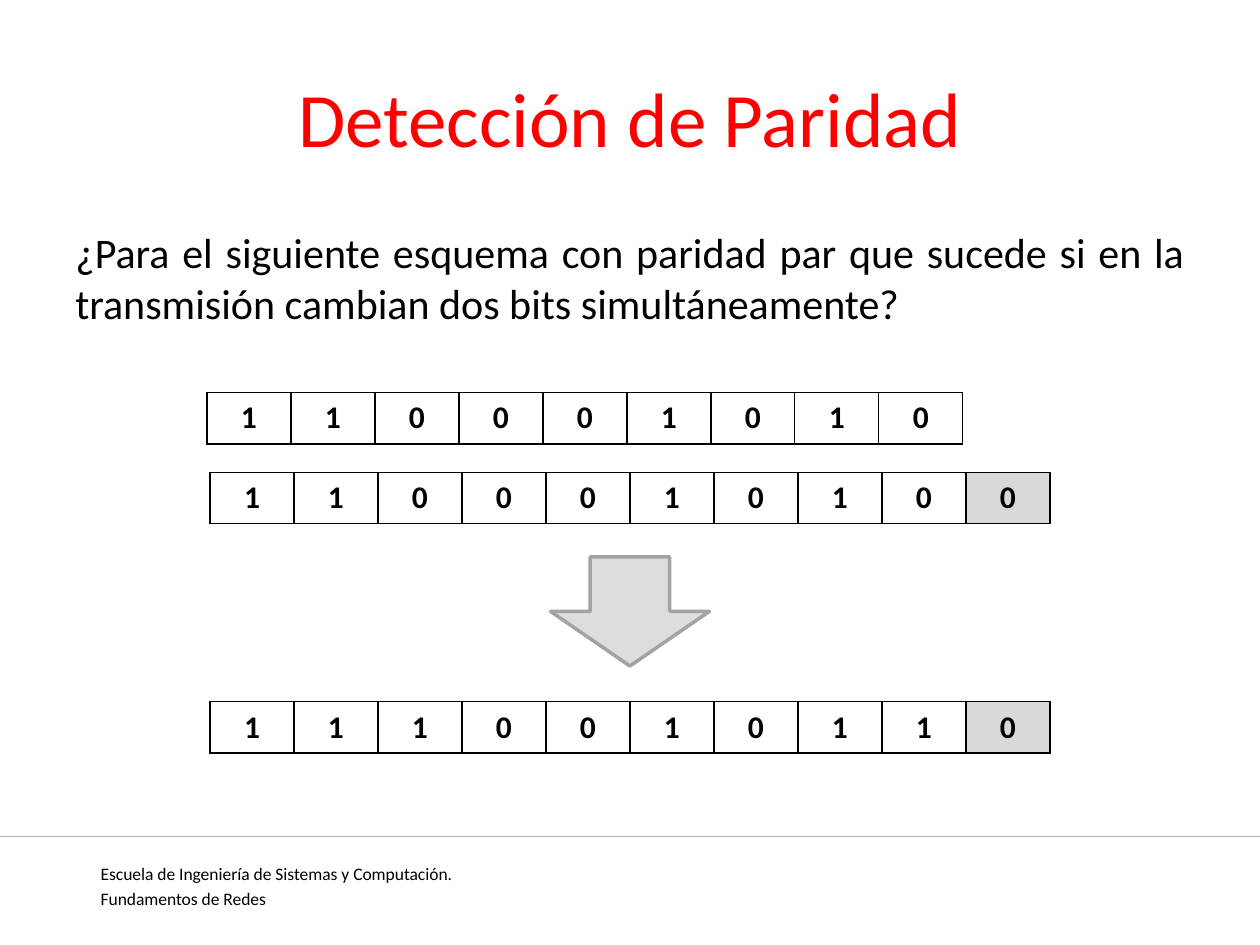
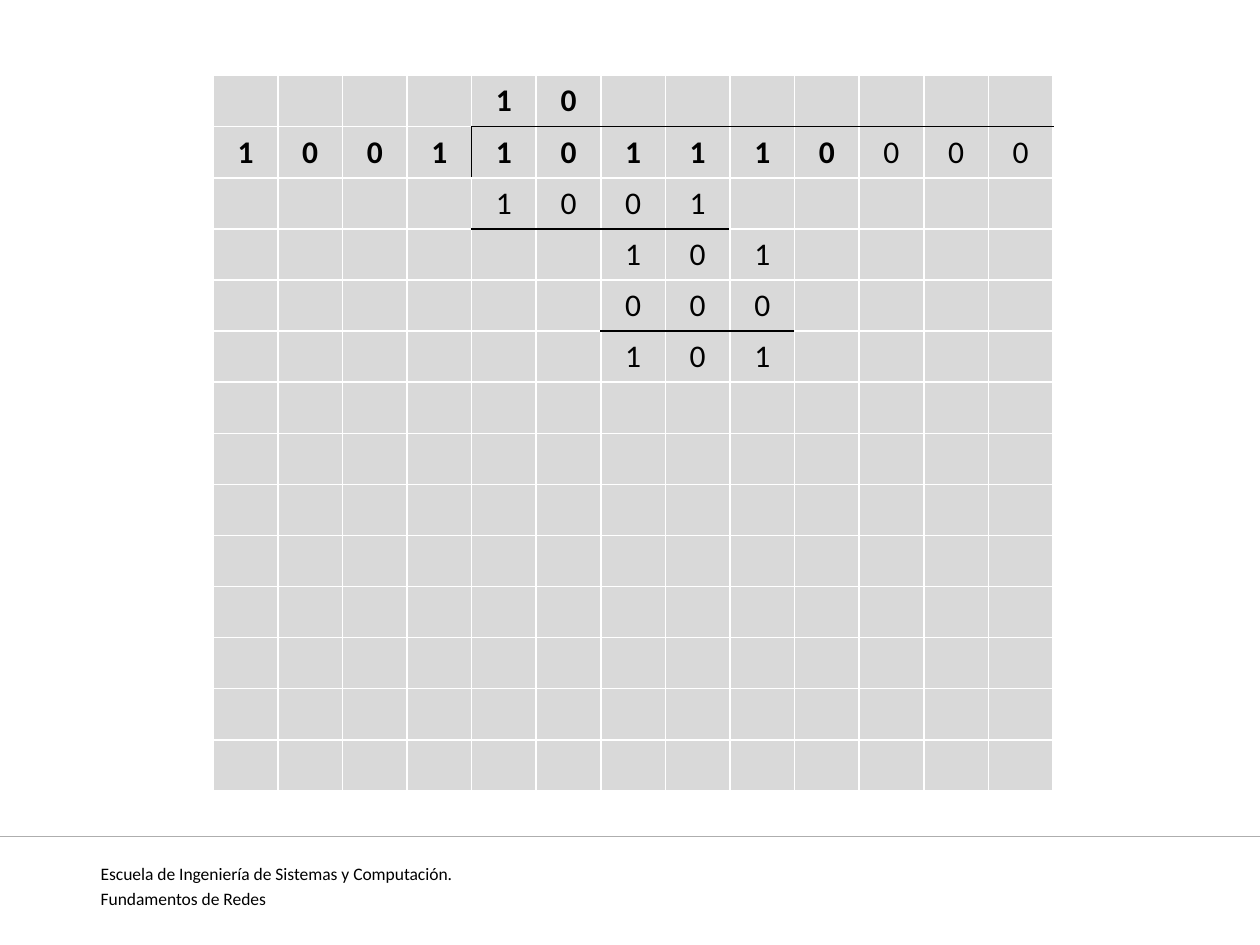
from collections import namedtuple

from lxml.etree import SubElement
from pptx import Presentation
from pptx.dml.color import RGBColor as RGB
from pptx.enum.shapes import MSO_CONNECTOR as Connector, MSO_SHAPE as Shape
from pptx.enum.text import MSO_ANCHOR as Anchor, PP_ALIGN as Align
from pptx.oxml.ns import qn
from pptx.util import Pt

Theme = namedtuple("Theme", "font title_color ink paper gray rule arrow arrow_edge "
                            "title_size body_size bit_size footer_size")
theme = Theme("Calibri", RGB(255, 0, 0), RGB(0, 0, 0), RGB(255, 255, 255),
              RGB(0xD9, 0xD9, 0xD9), RGB(0xAE, 0xAE, 0xAE), RGB(0xDD, 0xDD, 0xDD),
              RGB(0xA3, 0xA3, 0xA3), Pt(44), Pt(24), Pt(18), Pt(10))

ROW_HEIGHT = 29.2
TABLE_WIDTH = 480


def add_text(slide, box, lines, size, color=theme.ink, align=Align.JUSTIFY, anchor=Anchor.TOP):
    frame = slide.shapes.add_textbox(*map(Pt, box)).text_frame
    frame.word_wrap = True
    frame.vertical_anchor = anchor
    frame.text = "\n".join(lines)
    for index, paragraph in enumerate(frame.paragraphs):
        paragraph.alignment = align
        if index:
            paragraph.space_before = Pt(2)
        for run in paragraph.runs:
            run.font.name, run.font.size, run.font.color.rgb = theme.font, size, color


def add_bit_table(slide, left, top, rows, columns, bits, border, edges, fills):
    """bits: (row, first column, digits, bold); edges and fills override single
    borders (row, column, side) and cells (row, column)."""
    table = slide.shapes.add_table(rows, columns, Pt(left), Pt(top), Pt(TABLE_WIDTH),
                                   Pt(rows * ROW_HEIGHT)).table
    table.first_row = table.horz_banding = False
    for column in table.columns:
        column.width = Pt(TABLE_WIDTH / columns)
    for r in range(rows):
        for c in range(columns):
            cell = table.cell(r, c)
            properties = cell._tc.get_or_add_tcPr()
            for side in "LRTB":
                line = SubElement(properties, qn(f"a:ln{side}"), w=str(Pt(1)))
                color = SubElement(SubElement(line, qn("a:solidFill")), qn("a:srgbClr"))
                color.set("val", str(edges.get((r, c, side), border)))
            if (r, c) in fills:
                cell.fill.solid()
                cell.fill.fore_color.rgb = theme.gray
            else:
                cell.fill.background()
    for r, first, digits, bold in bits:
        for c, digit in enumerate(digits, first):
            paragraph = table.cell(r, c).text_frame.paragraphs[0]
            paragraph.text = digit
            paragraph.alignment = Align.CENTER
            font = paragraph.runs[0].font
            font.name, font.size, font.bold = theme.font, theme.bit_size, bold
            font.color.rgb = theme.ink


deck = Presentation()
deck.slide_width, deck.slide_height = Pt(720), Pt(540)
parity, division = [deck.slides.add_slide(deck.slide_layouts[6]) for _ in range(2)]

# Footer shared by both slides
for slide in (parity, division):
    add_text(slide, (50.4, 489.6, 646.6, 28),
             ["Escuela de Ingeniería de Sistemas y Computación.", "Fundamentos de Redes"],
             theme.footer_size)
    rule = slide.shapes.add_connector(Connector.STRAIGHT, Pt(0), Pt(478), Pt(720), Pt(478))
    rule.line.color.rgb, rule.line.width = theme.rule, Pt(0.75)
    SubElement(rule._element.spPr, qn("a:effectLst"))

# Slide 1: even parity with two flipped bits
add_text(parity, (36, 21.6, 648, 90), ["Detección de Paridad"], theme.title_size,
         theme.title_color, Align.CENTER, Anchor.MIDDLE)
add_text(parity, (36, 126, 648, 356),
         ["¿Para el siguiente esquema con paridad par que sucede si en la "
          "transmisión cambian dos bits simultáneamente?"], theme.body_size)

parity_cell = {(0, 9)}
no_parity_edges = {(0, 9, side): theme.paper for side in "RTB"}
for left, top, word, edges, fills in (
        (118.2, 224.4, "110001010", no_parity_edges, ()),
        (120, 270, "1100010100", {}, parity_cell),
        (120, 401, "1110010110", {}, parity_cell)):
    add_bit_table(parity, left, top, 1, 10, [(0, 0, word, True)], theme.ink, edges, fills)

transmission = parity.shapes.add_shape(Shape.DOWN_ARROW, Pt(314.6), Pt(318.2), Pt(90.8), Pt(62.4))
transmission.shadow.inherit = False
transmission.fill.solid()
transmission.fill.fore_color.rgb = theme.arrow
transmission.line.color.rgb, transmission.line.width = theme.arrow_edge, Pt(2)

# Slide 2: long division by the generator 1001
ROWS, COLUMNS = 14, 13
steps = [(0, 4, "10", True),
         (1, 0, "1001", True), (1, 4, "101110", True), (1, 10, "000", False),
         (2, 4, "1001", False),
         (3, 6, "101", False),
         (4, 6, "000", False),
         (5, 6, "101", False)]
ink_edges = {(1, 3, "R"): theme.ink, (1, 4, "L"): theme.ink}
for row, first, end in ((0, 4, 13), (2, 4, 8), (4, 6, 9)):
    for column in range(first, end):
        ink_edges[row, column, "B"] = ink_edges[row + 1, column, "T"] = theme.ink
whole_grid = {(r, c) for r in range(ROWS) for c in range(COLUMNS)}
add_bit_table(division, 121.9, 43.2, ROWS, COLUMNS, steps, theme.paper, ink_edges, whole_grid)

deck.save("out.pptx")
